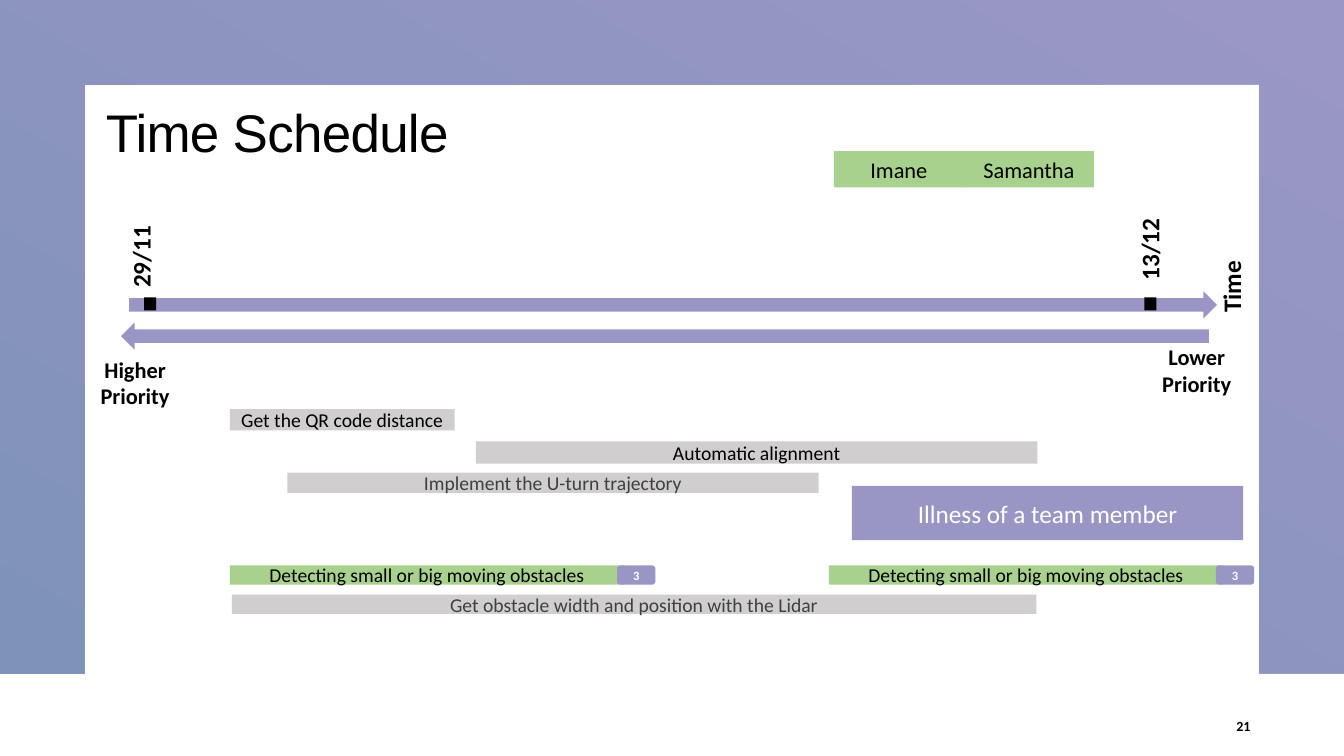
from pptx import Presentation
from pptx import util as u
from pptx.dml.color import RGBColor
from pptx.enum import shapes, text

PX = 9144  # one hundredth of an inch
COLOURS = {
    "violet": "9996C6", "band start": "9A96C6", "band end": "7F93BA",
    "green": "A9D18E", "grey": "D0CECE", "dark grey": "404040",
    "black": "000000", "white": "FFFFFF",
}
SHAPE = shapes.MSO_SHAPE
ALIGN = text.PP_ALIGN
ANCHOR = text.MSO_ANCHOR


def colour(name):
    return RGBColor.from_string(COLOURS[name])


def scaled(*lengths):
    return [u.Emu(length * PX) for length in lengths]


def write(box, words, size, ink="black", bold=False, align=ALIGN.CENTER, font="Calibri"):
    para = box.text_frame.paragraphs[0]
    para.alignment = align
    span = para.add_run()
    span.text = words
    span.font.size, span.font.bold, span.font.name = u.Pt(size), bold, font
    span.font.color.rgb = colour(ink)
    return span


def add_label(page, place, words, size, align=ALIGN.LEFT, turn=0, anchor=ANCHOR.TOP):
    box = page.shapes.add_textbox(*scaled(*place))
    box.rotation = turn
    box.text_frame.word_wrap = True
    box.text_frame.vertical_anchor = anchor
    write(box, words, size, bold=True, align=align)


def add_block(page, place, fill, kind=SHAPE.RECTANGLE, turn=0):
    box = page.shapes.add_shape(kind, *scaled(*place))
    box.shadow.inherit = False
    box.fill.solid()
    box.fill.fore_color.rgb = colour(fill)
    box.line.fill.background()
    box.rotation = turn
    return box


def add_bar(page, place, fill, words, size, ink="black", bold=False, kind=SHAPE.RECTANGLE):
    box = add_block(page, place, fill, kind)
    frame = box.text_frame
    frame.margin_left = frame.margin_right = frame.margin_top = frame.margin_bottom = 0
    frame.vertical_anchor = ANCHOR.MIDDLE
    write(box, words, size, ink, bold)


def draw_band(page, width, height, margin):
    """Gradient frame, open at the bottom, around the content area."""
    right = width - margin
    outline = page.shapes.build_freeform(0, 0, scale=PX)
    outline.add_line_segments([
        (width, 0), (width, height), (right, height), (right, margin),
        (margin, margin), (margin, height), (0, height)])
    band = outline.convert_to_shape()
    band.shadow.inherit = False
    band.line.fill.background()
    band.fill.gradient()
    band.fill.gradient_angle = 240
    for stop, name in zip(band.fill.gradient_stops, ("band start", "band end")):
        stop.color.rgb = colour(name)


def draw_title(page, left, top, width, height):
    title = page.shapes.title
    title.left, title.top, title.width, title.height = scaled(left, top, width, height)
    title.text_frame.auto_size = text.MSO_AUTO_SIZE.NONE
    title.text_frame.vertical_anchor = ANCHOR.MIDDLE
    span = write(title, "Time Schedule", 37.8, align=ALIGN.LEFT, font="Arial")
    span.font._element.set("spc", "-50")
    title.text_frame.paragraphs[0].line_spacing = 0.95


def draw_team(page, left, top, width, height):
    for index, name in enumerate(("Imane", "Samantha")):
        add_bar(page, (left + index * width, top, width, height), "green", name, 16)


def draw_axes(page, left, top, width):
    """Time arrow with its two dates, and the priority arrow below it."""
    thickness = 27
    add_block(page, (left + 8, top, width, thickness), "violet", SHAPE.RIGHT_ARROW)
    add_block(page, (left, top + 31, width, thickness), "violet", SHAPE.RIGHT_ARROW, 180)
    for x in (23, 1015):
        add_block(page, (left + x, top + 6, 12, 13), "black")
    for x, y, height, words in ((-32, -96, 71, "29/11"), (953, -88, 40, "13/12"),
                                (1034, -56, 40, "Time")):
        add_label(page, (left + x, top + y, 134, height), words, 18, turn=270)
    for x, y, words in ((-32, 59, "Higher Priority"), (1021, 47, "Lower Priority")):
        add_label(page, (left + x, top + y, 92, 64), words, 16, ALIGN.CENTER)


def draw_tasks(page, left, top):
    tasks = [
        (0, 0, 223, 21, "grey", "Get the QR code distance", "black"),
        (244, 32, 557, 22, "grey", "Automatic alignment", "black"),
        (57, 63, 527, 20, "grey", "Implement the U-turn trajectory", "dark grey"),
        (2, 184, 798, 19, "grey", "Get obstacle width and position with the Lidar", "dark grey"),
    ]
    for x in (0, 594):
        tasks.append((x, 155, 391, 19, "green",
                      "Detecting small or big moving obstacles", "black"))
    for x, y, width, height, fill, words, ink in tasks:
        add_bar(page, (left + x, top + y, width, height), fill, words, 14, ink)
    for x in (384, 978):
        add_bar(page, (left + x, top + 155, 38, 19), "violet", "3", 9, "white", True,
                SHAPE.ROUNDED_RECTANGLE)
    add_bar(page, (left + 617, top + 76, 388, 54), "violet",
            "Illness of a team member", 18, "white")


def main():
    deck = Presentation()
    deck.slide_width, deck.slide_height = scaled(1333, 750)
    page = deck.slides.add_slide(deck.slide_layouts[5])
    draw_band(page, 1333, 668, 84)
    draw_title(page, 95, 96, 487, 75)
    draw_team(page, 827, 150, 129, 36)
    draw_axes(page, 120, 289, 1079)
    draw_tasks(page, 228, 406)
    add_label(page, (1192, 700, 58, 40), "21", 10, ALIGN.RIGHT, anchor=ANCHOR.MIDDLE)
    deck.save("out.pptx")


if __name__ == "__main__":
    main()
